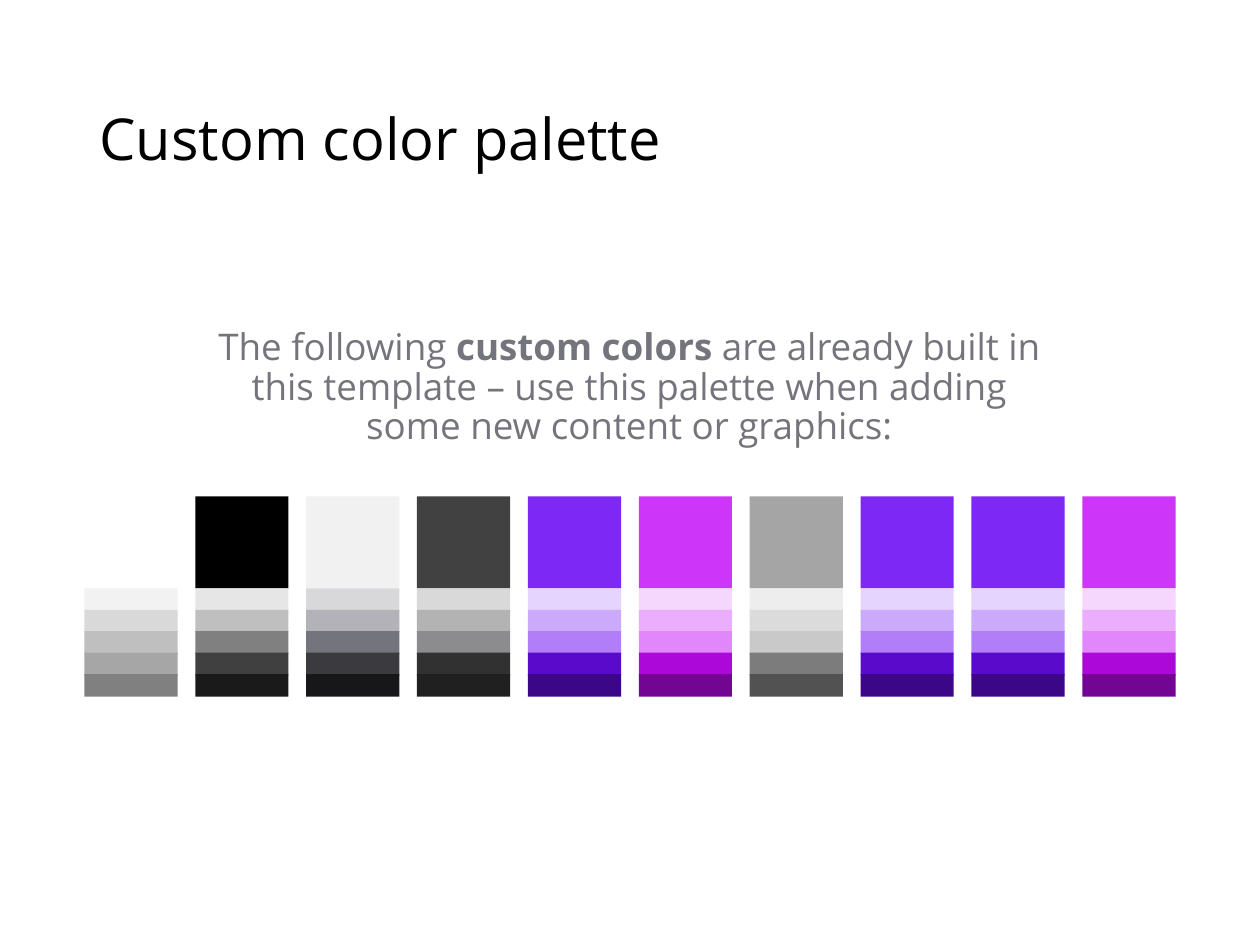
"""Build a slide that shows the custom color palette as swatches with their shades."""
from pptx import Presentation
from pptx.dml.color import RGBColor
from pptx.enum.shapes import MSO_SHAPE
from pptx.enum.text import MSO_ANCHOR, PP_ALIGN
from pptx.util import Inches, Pt

FONT = "Open Sans"
BLACK = RGBColor(0x00, 0x00, 0x00)
SLATE = RGBColor(0x74, 0x74, 0x7D)
WHITES, BLACKS, SILVERS, CHARCOALS, VIOLETS, MAGENTAS, GRAYS = [
    [RGBColor.from_string(code) for code in family.split()]
    for family in (
        "FFFFFF F2F2F2 D9D9D9 BFBFBF A6A6A6 808080",
        "000000 E6E6E6 BFBFBF 808080 404040 1A1A1A",
        "F1F1F2 D8D8DB B2B2B8 74747D 3A3A3F 171719",
        "414142 D9D9D9 B3B3B4 8C8C8E 313132 202021",
        "7D28F4 E5D4FD CBA9FB B17EF8 5A0ACB 3C0787",
        "CD35F8 F5D7FE EBAEFC E186FB AC08DA 720591",
        "A5A5A5 EDEDED DBDBDB C9C9C9 7C7C7C 525252",
    )
]
PALETTE = [WHITES, BLACKS, SILVERS, CHARCOALS, VIOLETS,
           MAGENTAS, GRAYS, VIOLETS, VIOLETS, MAGENTAS]

GRID_LEFT, GRID_TOP = 0.67, 3.94
COLUMN_STEP, SWATCH_WIDTH, SWATCH_HEIGHT = 0.88, 0.74, 0.73
SHADE_STEP, SHADE_HEIGHT = 0.17, 0.18


def style_run(run, size, color, bold=False):
    run.font.name = FONT
    run.font.size = Pt(size)
    run.font.bold = bold
    run.font.color.rgb = color


def add_swatch(left, top, height, color):
    swatch = slide.shapes.add_shape(
        MSO_SHAPE.RECTANGLE, Inches(left), Inches(top), Inches(SWATCH_WIDTH), Inches(height))
    swatch.shadow.inherit = False
    swatch.fill.solid()
    swatch.fill.fore_color.rgb = color
    swatch.line.fill.background()


prs = Presentation()
prs.slide_width, prs.slide_height = Inches(10), Inches(7.5)
slide = prs.slides.add_slide(prs.slide_layouts[5])

title = slide.shapes.title
title.left, title.top, title.width, title.height = (
    Inches(0.69), Inches(0.4), Inches(8.62), Inches(1.45))
title.text_frame.text = "Custom color palette"
title.text_frame.vertical_anchor = MSO_ANCHOR.MIDDLE
heading = title.text_frame.paragraphs[0]
heading.alignment = PP_ALIGN.LEFT
heading.line_spacing = 0.9
style_run(heading.runs[0], 33, BLACK)

for column, (base, *shades) in enumerate(PALETTE):
    left = GRID_LEFT + column * COLUMN_STEP
    add_swatch(left, GRID_TOP, SWATCH_HEIGHT, base)
    for row, shade in enumerate(shades):
        add_swatch(left, GRID_TOP + SWATCH_HEIGHT + row * SHADE_STEP, SHADE_HEIGHT, shade)

intro = slide.shapes.add_textbox(
    Inches(GRID_LEFT + COLUMN_STEP), Inches(2.56), Inches(6.89), Inches(1.16)).text_frame
intro.word_wrap = True
sentence = intro.paragraphs[0]
sentence.alignment = PP_ALIGN.CENTER
sentence.line_spacing = 0.9
for words, bold in (
    ("The following ", False),
    ("custom colors ", True),
    ("are already built in this template – use this palette when adding "
     "some new content or graphics:", False),
):
    run = sentence.add_run()
    run.text = words
    style_run(run, 21, SLATE, bold)

prs.save("out.pptx")
